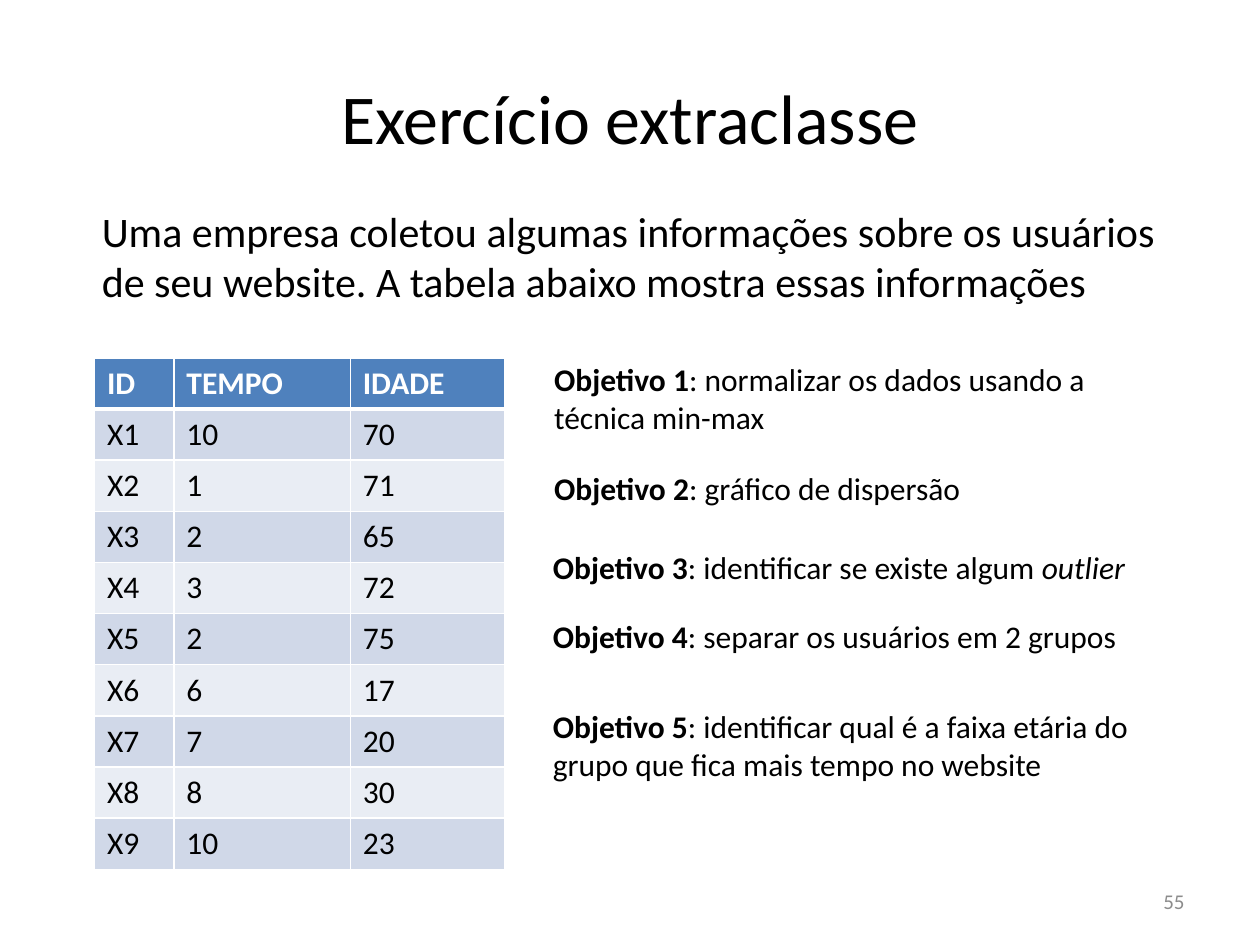
from dataclasses import dataclass

from lxml import etree
from pptx import Presentation
from pptx import util as u
from pptx.dml.color import RGBColor
from pptx.enum import text
from pptx.oxml.ns import qn


@dataclass(frozen=True)
class Theme:
    font: str = "Calibri"
    ink: str = "000000"
    white: str = "FFFFFF"
    muted: str = "8C8C8C"
    header: str = "4F81BD"
    bands: tuple = ("D0D8E8", "E9EDF4")
    title_size: int = 40
    intro_size: int = 24
    body_size: int = 18
    number_size: int = 12


THEME = Theme()

HEADERS = ("ID", "TEMPO", "IDADE")
USERS = ((10, 70), (1, 71), (2, 65), (3, 72), (2, 75),
         (6, 17), (7, 20), (8, 30), (10, 23))
COLUMN_WIDTHS = (0.63, 1.4, 1.23)

# Box (left, top, width, height), then the explanation and its italic ending
OBJECTIVES = (
    ((4.3, 2.81, 5.13, 0.71), "normalizar os dados usando a técnica min-max", ""),
    ((4.3, 3.67, 3.93, 0.4), "gráfico de dispersão", ""),
    ((4.29, 4.3, 4.8, 0.4), "identificar se existe algum ", "outlier"),
    ((4.29, 4.85, 4.8, 0.4), "separar os usuários em 2 grupos", ""),
    ((4.29, 5.56, 4.8, 0.71),
     "identificar qual é a faixa etária do grupo que fica mais tempo no website", ""),
)


def style(font, size, color=THEME.ink, bold=False, italic=False):
    font.name = THEME.font
    font.size = u.Pt(size)
    font.color.rgb = RGBColor.from_string(color)
    font.bold = bold
    font.italic = italic


def inches(box):
    return [u.Inches(length) for length in box]


def add_text(slide, box, parts, size, color=THEME.ink):
    """Place one paragraph made of (wording, bold, italic) parts."""
    frame = slide.shapes.add_textbox(*inches(box)).text_frame
    frame.word_wrap = True
    for wording, bold, italic in parts:
        run = frame.paragraphs[0].add_run()
        run.text = wording
        style(run.font, size, color, bold, italic)
    return frame


def add_title(slide, box, wording):
    title = slide.shapes.title
    title.left, title.top, title.width, title.height = inches(box)
    frame = title.text_frame
    frame.text = wording
    frame.vertical_anchor = text.MSO_ANCHOR.MIDDLE
    paragraph = frame.paragraphs[0]
    paragraph.alignment = text.PP_ALIGN.CENTER
    style(paragraph.runs[0].font, THEME.title_size)


def add_borders(cell, bottom):
    properties = cell._tc.get_or_add_tcPr()
    for side, points in (("L", 1), ("R", 1), ("T", 1), ("B", bottom)):
        line = etree.SubElement(properties, qn(f"a:ln{side}"), w=str(u.Pt(points)))
        fill = etree.SubElement(line, qn("a:solidFill"))
        etree.SubElement(fill, qn("a:srgbClr"), val=THEME.white)


def add_users_table(slide, box):
    rows = [HEADERS] + [(f"X{i}", *user) for i, user in enumerate(USERS, 1)]
    table = slide.shapes.add_table(len(rows), len(HEADERS), *inches(box)).table
    for column, width in zip(table.columns, COLUMN_WIDTHS):
        column.width = u.Inches(width)
    for r, values in enumerate(rows):
        is_header = r == 0
        fill = THEME.header if is_header else THEME.bands[(r - 1) % 2]
        for c, value in enumerate(values):
            cell = table.cell(r, c)
            cell.text = str(value)
            style(cell.text_frame.paragraphs[0].runs[0].font, THEME.body_size,
                  THEME.white if is_header else THEME.ink, bold=is_header)
            add_borders(cell, bottom=3 if is_header else 1)
            cell.fill.solid()
            cell.fill.fore_color.rgb = RGBColor.from_string(fill)


def add_objectives(slide):
    for number, (box, explanation, ending) in enumerate(OBJECTIVES, 1):
        parts = [(f"Objetivo {number}", True, False),
                 (f": {explanation}", False, False)]
        if ending:
            parts.append((ending, False, True))
        add_text(slide, box, parts, THEME.body_size)


def add_slide_number(slide, box, number):
    frame = add_text(slide, box, [(number, False, False)],
                     THEME.number_size, THEME.muted)
    frame.vertical_anchor = text.MSO_ANCHOR.MIDDLE
    frame.paragraphs[0].alignment = text.PP_ALIGN.RIGHT


def main():
    deck = Presentation()
    deck.slide_width, deck.slide_height = u.Inches(10), u.Inches(7.5)
    slide = deck.slides.add_slide(deck.slide_layouts[5])

    # Title and introduction
    add_title(slide, (0.5, 0.3, 9, 1.25), "Exercício extraclasse")
    intro = ("Uma empresa coletou algumas informações sobre os usuários de "
             "seu website. A tabela abaixo mostra essas informações")
    add_text(slide, (0.71, 1.58, 8.97, 0.91), [(intro, False, False)],
             THEME.intro_size)

    # Data on the left, objectives on the right
    add_users_table(slide, (0.75, 2.84, 3.26, 4.06))
    add_objectives(slide)

    # Footer
    add_slide_number(slide, (7.17, 6.95, 2.33, 0.4), "55")
    deck.save("out.pptx")


if __name__ == "__main__":
    main()
